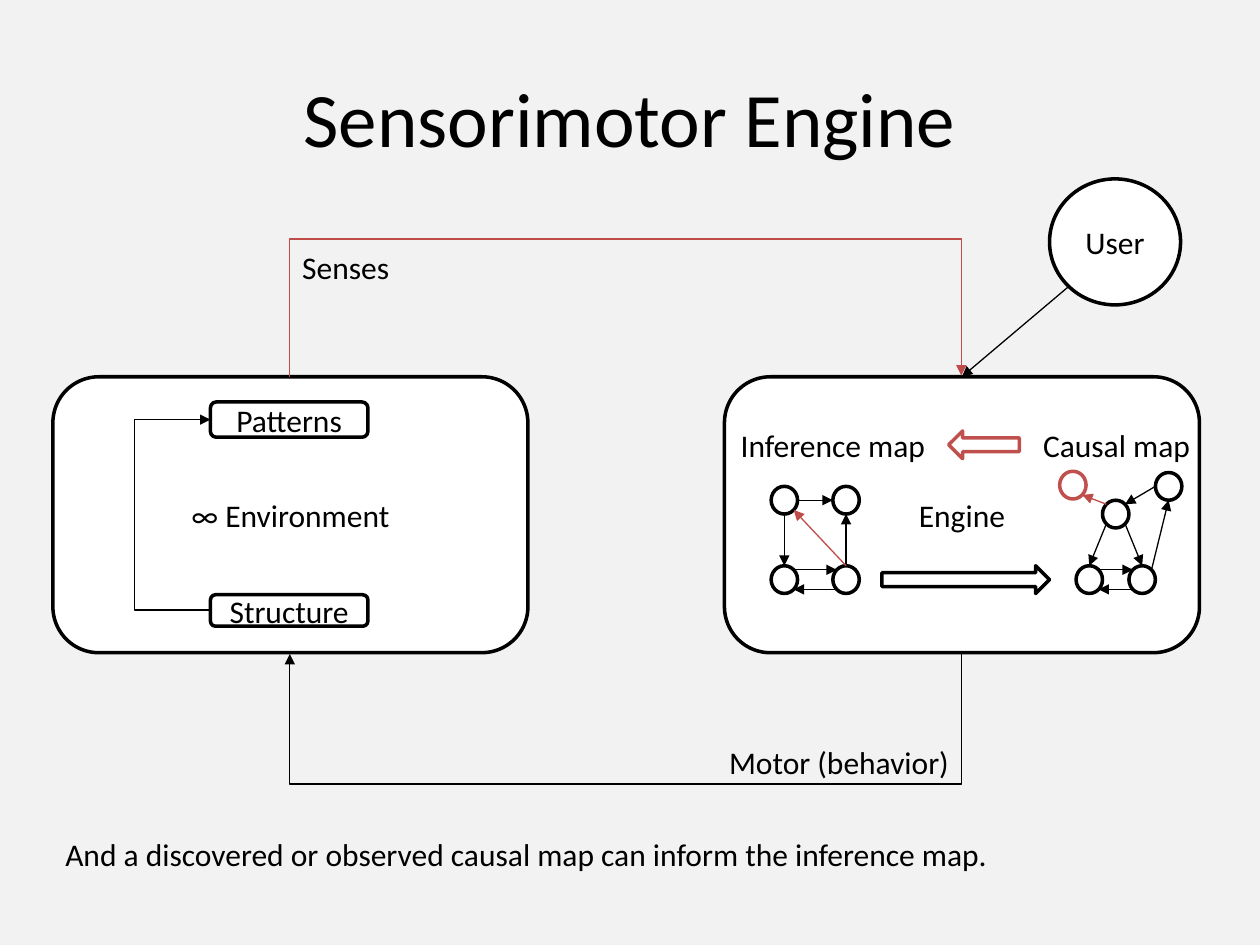
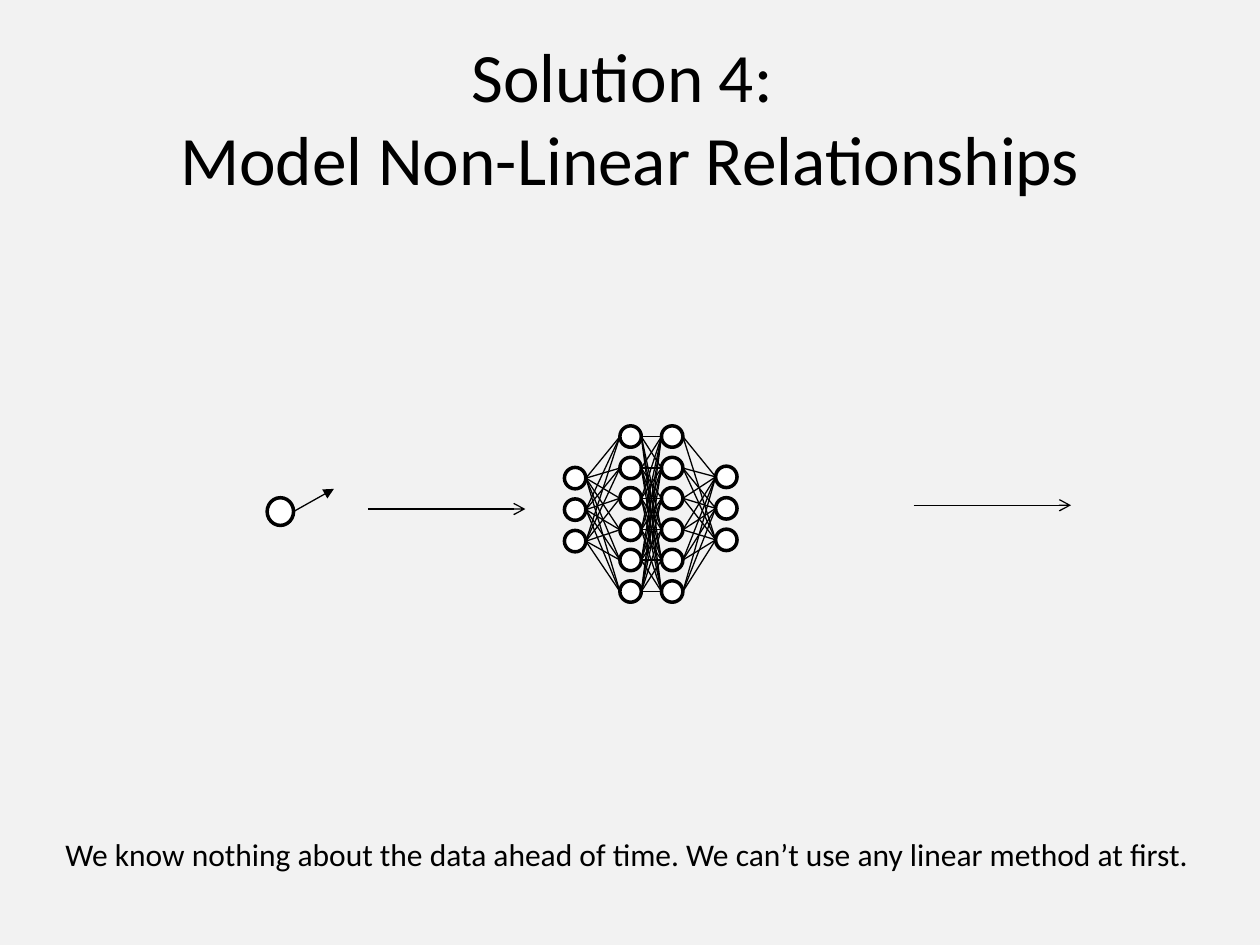
from itertools import product, pairwise

from lxml.etree import SubElement
from pptx import Presentation
from pptx.dml.color import RGBColor
from pptx.enum.shapes import MSO_CONNECTOR, MSO_SHAPE
from pptx.enum.text import MSO_ANCHOR, PP_ALIGN
from pptx.oxml.ns import qn
from pptx.util import Pt

SCALE = 9144  # EMU per px, 100 px to the inch
DIAGONAL = 0.5 ** 0.5 / 2
NEAR, FAR = 0.5 - DIAGONAL, 0.5 + DIAGONAL
SITES = {
    "top": (0.5, 0), "bottom": (0.5, 1), "left": (0, 0.5), "right": (1, 0.5),
    "top left": (NEAR, NEAR), "top right": (FAR, NEAR),
    "bottom left": (NEAR, FAR), "bottom right": (FAR, FAR),
}


def px(length):
    return int(length * SCALE)


def colour(value):
    return RGBColor.from_string(value)


def site(shape, name):
    """Return a point on the edge of a shape, in px."""
    across, down = SITES[name]
    return ((shape.left + across * shape.width) / SCALE,
            (shape.top + down * shape.height) / SCALE)


class Deck:
    font = "Calibri"
    black, white, background = "000000", "FFFFFF", "F2F2F2"
    red_outline, red_line = "C0504D", "BF4C48"

    def __init__(self):
        self.presentation = Presentation()
        self.presentation.slide_width = px(1000)
        self.presentation.slide_height = px(750)
        self.slide = None

    def new_slide(self, title, title_size, caption):
        self.slide = self.presentation.slides.add_slide(self.presentation.slide_layouts[6])
        fill = self.slide.background.fill
        fill.solid()
        fill.fore_color.rgb = colour(self.background)
        self.text(title, 50, 30, 900, 125, title_size, PP_ALIGN.CENTER, MSO_ANCHOR.MIDDLE)
        self.text(caption, 42, 658, 917, 40)

    def set_text(self, shape, text, size, align, anchor):
        frame = shape.text_frame
        frame.word_wrap = True
        frame.vertical_anchor = anchor
        frame.text = text
        paragraph = frame.paragraphs[0]
        paragraph.alignment = align
        paragraph.font.name = self.font
        paragraph.font.size = Pt(size)
        paragraph.font.color.rgb = colour(self.black)

    def text(self, text, left, top, width, height, size=18,
             align=PP_ALIGN.LEFT, anchor=MSO_ANCHOR.TOP):
        box = self.slide.shapes.add_textbox(px(left), px(top), px(width), px(height))
        self.set_text(box, text, size, align, anchor)

    def shape(self, kind, left, top, width, height, text="", outline=black):
        shape = self.slide.shapes.add_shape(kind, px(left), px(top), px(width), px(height))
        shape.shadow.inherit = False
        shape.fill.solid()
        shape.fill.fore_color.rgb = colour(self.white)
        shape.line.color.rgb = colour(outline)
        shape.line.width = Pt(2)
        if text:
            self.set_text(shape, text, 18, PP_ALIGN.CENTER, MSO_ANCHOR.MIDDLE)
        return shape

    def box(self, text, left, top, width, height):
        return self.shape(MSO_SHAPE.ROUNDED_RECTANGLE, left, top, width, height, text)

    def node(self, left, top, outline=black):
        return self.shape(MSO_SHAPE.FLOWCHART_CONNECTOR, left, top, 21, 22, outline=outline)

    def line(self, start, end, line_colour=black, arrow="triangle", kind=MSO_CONNECTOR.STRAIGHT):
        connector = self.slide.shapes.add_connector(kind, *map(px, (*start, *end)))
        connector.line.color.rgb = colour(line_colour)
        connector.line.width = Pt(0.75)
        properties = connector.element.spPr
        if arrow:
            SubElement(properties.find(qn("a:ln")), qn("a:tailEnd"), type=arrow)
        SubElement(properties, qn("a:effectLst"))
        return connector

    def elbow(self, start, end, rotation, reach, line_colour=black):
        """Draw a U-shaped arrow; start and end are corners before rotation."""
        connector = self.line(start, end, line_colour, kind=MSO_CONNECTOR.ELBOW)
        properties = connector.element.spPr
        properties.find(qn("a:xfrm")).set("rot", str(rotation * 60000))
        adjustments = properties.find(qn("a:prstGeom")).find(qn("a:avLst"))
        bend = round(reach / abs(end[0] - start[0]) * 100000)
        SubElement(adjustments, qn("a:gd"), name="adj1", fmla=f"val {bend}")

    def links(self, rows):
        for source, source_site, target, target_site, line_colour in rows:
            self.line(site(source, source_site), site(target, target_site), line_colour)


def sensorimotor_engine(deck):
    black, red = deck.black, deck.red_line
    deck.new_slide("Sensorimotor Engine", 44,
                   "And a discovered or observed causal map can inform the inference map.")

    # Engine and environment with the loop between them
    engine = deck.box("Engine", 575, 299, 377, 219)
    deck.box("∞ Environment", 42, 299, 377, 219)
    deck.elbow((497, 565), (496, 32), 90, 111, red)
    deck.elbow((496, 252), (497, 785), 90, 106)
    deck.text("Senses", 230, 192, 225, 40)
    deck.text("Motor (behavior)", 455, 585, 308, 40, align=PP_ALIGN.RIGHT)

    # User
    user = deck.shape(MSO_SHAPE.FLOWCHART_CONNECTOR, 833, 142, 104, 100, "User")
    deck.line(site(user, "bottom left"), site(engine, "top"))

    # Causal map
    deck.text("Causal map", 818, 333, 150, 40)
    hub, right, left = deck.node(875, 397), deck.node(896, 449), deck.node(854, 449)
    outer, found = deck.node(917, 375), deck.node(841, 374, deck.red_outline)
    deck.links([
        (hub, "bottom right", right, "top", black),
        (hub, "bottom left", left, "top", black),
        (left, "top right", right, "top left", black),
        (right, "bottom left", left, "bottom right", black),
        (right, "top right", outer, "bottom", black),
        (outer, "left", hub, "top right", black),
        (hub, "top left", found, "bottom right", red),
    ])

    # Inference map
    deck.text("Inference map", 578, 333, 185, 40)
    top_left, top_right, low_left, low_right = [
        deck.node(x, y) for y, x in product((386, 449), (612, 661))]
    deck.links([
        (top_left, "right", top_right, "left", black),
        (top_left, "bottom", low_left, "top", black),
        (low_left, "top right", low_right, "top left", black),
        (low_right, "bottom left", low_left, "bottom right", black),
        (low_right, "top", top_right, "bottom", black),
        (low_right, "top", top_left, "bottom right", red),
    ])

    # Arrows between the maps
    deck.shape(MSO_SHAPE.RIGHT_ARROW, 700, 449, 133, 22)
    deck.shape(MSO_SHAPE.LEFT_ARROW, 753, 342, 56, 22, outline=deck.red_outline)

    # Inside the environment
    deck.box("Structure", 167, 472, 125, 25)
    deck.box("Patterns", 167, 319, 125, 28)
    deck.elbow((167, 333), (168, 484), 180, 62)


def non_linear_relationships(deck):
    deck.new_slide("Solution 4: \vModel Non-Linear Relationships", 39.6,
                   "We know nothing about the data ahead of time. "
                   "We can’t use any linear method at first.")

    # Input node and flow arrows
    start = deck.node(212, 395)
    deck.line(site(start, "right"), (265, 388))
    for left, y in ((292, 404), (725, 401)):
        deck.line((left, y), (left + 125, y), arrow="arrow")

    # Network layers: left, first top, gap, number of neurons
    layers = [
        [deck.shape(MSO_SHAPE.OVAL, left, round(top + gap * row), 17, 17) for row in range(count)]
        for left, top, gap, count in (
            (448, 371, 25, 3), (492, 338, 24.6, 6), (525, 338, 24.6, 6), (568, 370, 25, 3))
    ]

    # Every neuron meets the next layer, save for two absent links
    absent = {(1, 0, 2), (2, 0, 1)}
    for number, (layer, following) in enumerate(pairwise(layers)):
        for (i, source), (j, target) in product(enumerate(layer), enumerate(following)):
            if (number, i, j) not in absent:
                deck.line(site(source, "right"), site(target, "left"), arrow=None)


def main():
    deck = Deck()
    sensorimotor_engine(deck)
    non_linear_relationships(deck)
    deck.presentation.save("out.pptx")


if __name__ == "__main__":
    main()
